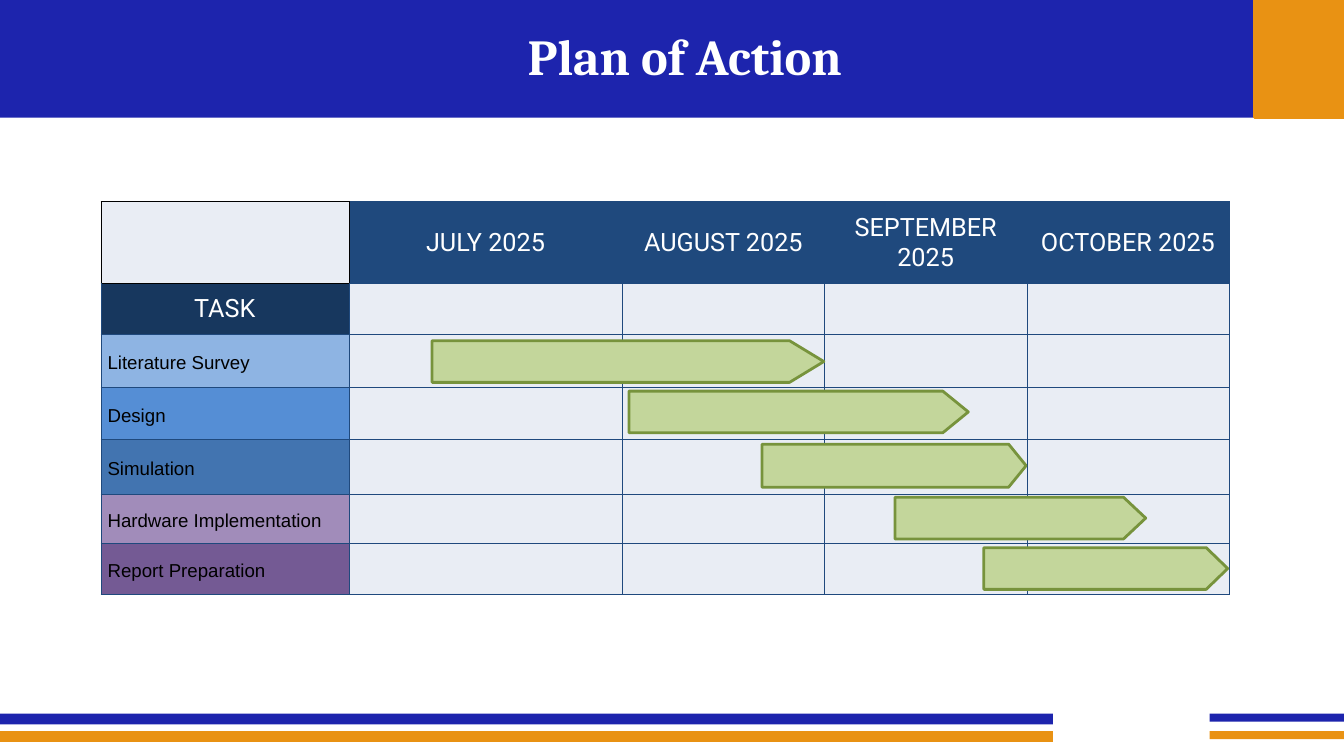
from lxml import etree
from pptx import Presentation
from pptx.dml.color import RGBColor
from pptx.enum import shapes, text
from pptx.oxml.ns import qn
from pptx.util import Inches, Pt

BLUE, GOLD, NAVY, PALE, BLACK, WHITE = "1D24AD", "E99213", "1F497D", "E9EDF4", "000000", "FFFFFF"
TITLE = {"name": "Cambria", "size": Pt(54), "bold": True}
HEAD = {"name": "Roboto", "size": Pt(27), "bold": False}
TASK = {"name": "Arial", "size": Pt(20), "bold": False}
MONTHS = ["JULY 2025", "AUGUST 2025", "SEPTEMBER 2025", "OCTOBER 2025"]
COLS = [3.69, 4.07, 3.01, 3.01, 3.01]
ROWS = [1.21, 0.76, 0.79, 0.77, 0.82, 0.73, 0.77]
TASKS = [
    ("Literature Survey", "8EB4E3", 4.93, 2.07, 5.83, 0.62, 0.51),
    ("Design", "558ED5", 7.86, 2.82, 5.05, 0.62, 0.38),
    ("Simulation", "4274B0", 9.84, 3.61, 3.93, 0.64, 0.26),
    ("Hardware Implementation", "A18CBA", 11.82, 4.4, 3.73, 0.62, 0.33),
    ("Report Preparation", "745A94", 13.14, 5.15, 3.63, 0.62, 0.32),
]


def color(code):
    return RGBColor.from_string(code)


def assign(item, values):
    for key, value in values.items():
        setattr(item, key, value)


def block(slide, kind, box, fill, line=None):
    shape = slide.shapes.add_shape(kind, *map(Inches, box))
    shape.shadow.inherit = False
    shape.fill.solid()
    shape.fill.fore_color.rgb = color(fill)
    if line:
        shape.line.color.rgb = color(line)
        shape.line.width = Pt(3)
    else:
        shape.line.fill.background()
    return shape


def write(frame, words, font, code, align, space):
    para = frame.paragraphs[0]
    assign(para, {"alignment": align, "line_spacing": Pt(space)})
    run = para.add_run()
    run.text = words
    assign(run.font, font)
    run.font.color.rgb = color(code)


def header(slide, left, top, width, height):
    rect = shapes.MSO_SHAPE.RECTANGLE
    end = 1.33
    block(slide, rect, (left, top, width - end, height), BLUE)
    block(slide, rect, (left + width - end, top, end, height), GOLD, GOLD)
    label = slide.shapes.add_textbox(*map(Inches, (left + 7.63, top + 0.37, 5.12, 1.04)))
    frame = label.text_frame
    margins = dict.fromkeys(("margin_left", "margin_right", "margin_top", "margin_bottom"), 0)
    assign(frame, {"word_wrap": True, **margins})
    write(frame, "Plan of Action", TITLE, WHITE, text.PP_ALIGN.CENTER, 64.8)


def footer(slide, left, top, width):
    for start, size, thick in ((0, 15.67, 0.16), (width - 2, 2, 0.12)):
        for drop, fill in ((0, BLUE), (0.26, GOLD)):
            box = (left + start, top + drop, size, thick)
            block(slide, shapes.MSO_SHAPE.RECTANGLE, box, fill)


def border(cell, edges):
    props = cell._tc.get_or_add_tcPr()
    for place, (side, code) in enumerate(edges.items()):
        line = etree.Element(qn("a:ln" + side), w=str(Pt(0.5)))
        fill = etree.SubElement(line, qn("a:solidFill"))
        etree.SubElement(fill, qn("a:srgbClr"), val=code)
        props.insert(place, line)


def paint(cell, fill, edges):
    cell.fill.solid()
    cell.fill.fore_color.rgb = color(fill)
    border(cell, edges)
    sides = ("margin_left", "margin_right", "margin_top", "margin_bottom")
    assign(cell, {"vertical_anchor": text.MSO_ANCHOR.MIDDLE, **dict.fromkeys(sides, Inches(0.1))})


def grid(slide, left, top):
    box = (left, top, sum(COLS), sum(ROWS))
    table = slide.shapes.add_table(len(ROWS), len(COLS), *map(Inches, box)).table
    for col, width in zip(table.columns, COLS):
        col.width = Inches(width)
    for row, height in zip(table.rows, ROWS):
        row.height = Inches(height)
    fills = {(0, n): NAVY for n in range(1, len(COLS))}
    fills[1, 0] = "17375E"
    fills.update({(n, 0): task[1] for n, task in enumerate(TASKS, 2)})
    dark = {(0, 0): "LRTB", (0, 1): "L", (1, 0): "T"}
    for r in range(len(ROWS)):
        for c in range(len(COLS)):
            edges = {side: BLACK if side in dark.get((r, c), "") else NAVY for side in "LRTB"}
            paint(table.cell(r, c), fills.get((r, c), PALE), edges)
    heads = [(0, n, month) for n, month in enumerate(MONTHS, 1)] + [(1, 0, "TASK")]
    for r, c, words in heads:
        write(table.cell(r, c).text_frame, words, HEAD, WHITE, text.PP_ALIGN.CENTER, 32.4)
    for r, task in enumerate(TASKS, 2):
        write(table.cell(r, 0).text_frame, task[0], TASK, BLACK, text.PP_ALIGN.LEFT, 28)


def bars(slide, left, top):
    for _, _, x, y, width, height, tip in TASKS:
        box = (left + x, top + y, width, height)
        bar = block(slide, shapes.MSO_SHAPE.PENTAGON, box, "C3D69B", "77933C")
        bar.adjustments[0] = tip / height


def main():
    deck = Presentation()
    assign(deck, {"slide_width": Inches(20), "slide_height": Inches(11.25)})
    slide = deck.slides.add_slide(deck.slide_layouts[6])
    header(slide, 0, 0, 20, 1.75)
    footer(slide, 0, 10.62, 20)
    grid(slide, 1.5, 3)
    bars(slide, 1.5, 3)
    deck.save("out.pptx")


if __name__ == "__main__":
    main()
